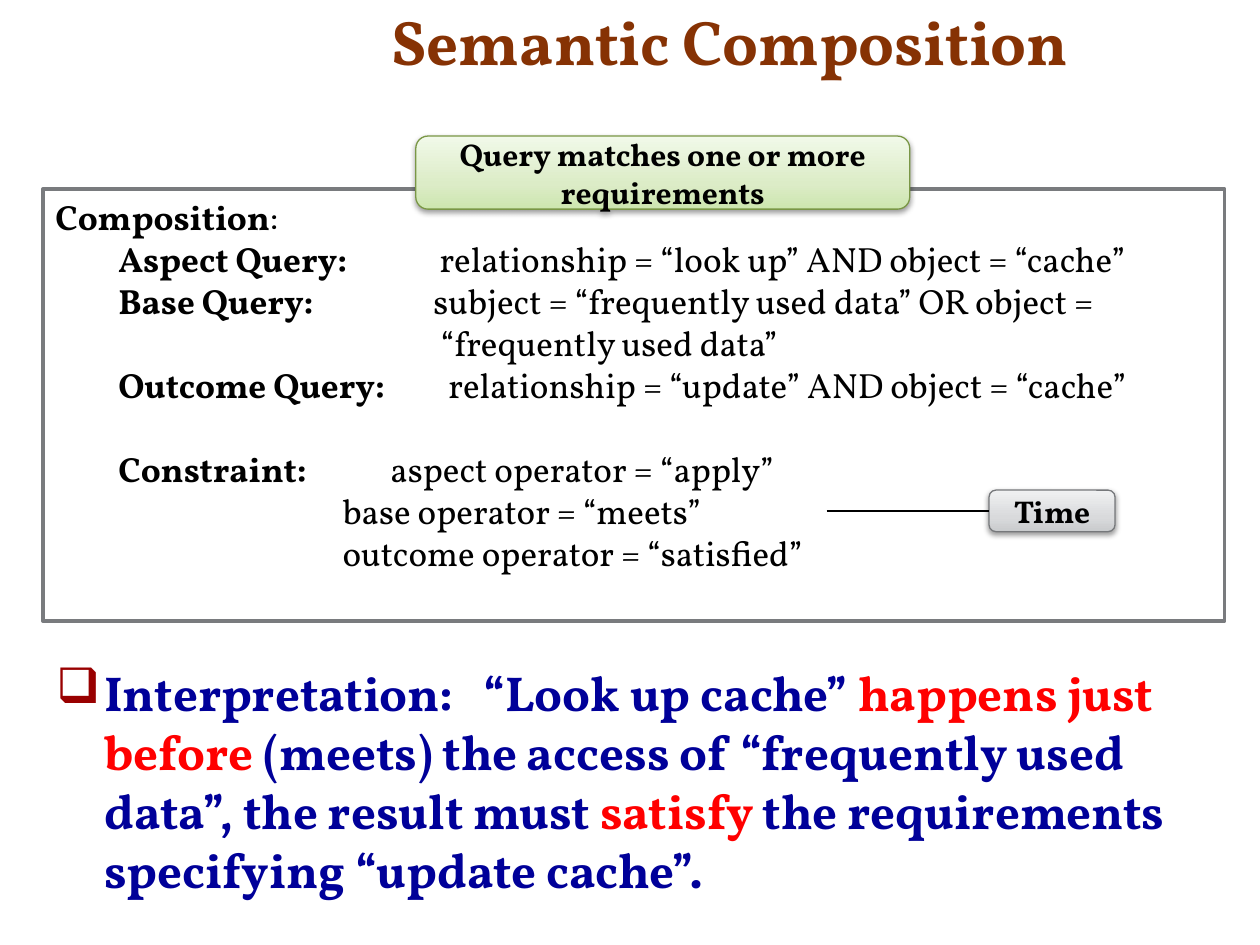
"""Build the Semantic Composition slide with its queries, callouts and interpretation."""
from lxml.etree import SubElement
from pptx import Presentation
from pptx.dml.color import RGBColor
from pptx.enum.shapes import MSO_CONNECTOR as Connector, MSO_SHAPE as Shape
from pptx.enum.text import MSO_ANCHOR as Anchor, PP_ALIGN as Align
from pptx.oxml import parse_xml
from pptx.oxml.ns import nsdecls, qn
from pptx.util import Inches, Pt

FONT = "Vollkorn"
WIDTH, HEIGHT = 10, 7.5
COLORS = {
    "title": "863204", "text": "000000", "body": "000099", "accent": "FF0000",
    "bullet": "990000", "panel": "FFFFFF", "border": "797B7E",
}
GREEN = {"stops": [(0, "CDE6AF"), (35, "DCECC7"), (100, "F1F9E9")], "line": "7A9746"}
GRAY = {"stops": [(0, "C9CBCD"), (35, "D9DADC"), (100, "F0F1F2")], "line": "76787B"}

TITLE = "Semantic Composition"
LABEL_TAB = 0.5
QUERIES = [
    ("Aspect Query:", 3.05, "relationship = “look up” AND object = “cache”", 0),
    ("Base Query:", 3, "subject = “frequently used data” OR object =", 0),
    ("", 3.06, "“frequently used data”", 0),
    ("Outcome Query:", 3.12, "relationship = “update” AND object = “cache”", 0),
    ("Constraint:", 2.66, "aspect operator = “apply”", 24),
    ("", 2.28, "base operator = “meets”", 0),
    ("", 2.28, "outcome operator = “satisfied”", 0),
]
INTERPRETATION = [
    ("Interpretation:\t“Look up cache” ", "body"),
    ("happens just before ", "accent"),
    ("(meets) the access of “frequently used data”, the result must ", "body"),
    ("satisfy ", "accent"),
    ("the requirements specifying “update cache”.", "body"),
]
INTERPRETATION_TAB = 3.39
TITLE_BOX = (3.01, -0.03, 6.84, 0.7)
PANEL_BOX = (0.34, 1.5, 9.38, 3.43)
BODY_BOX = (0.35, 5.21, 9.23, 1.87)
TIME_BOX = (7.85, 3.89, 1, 0.33)
MATCH_BOX = (3.3, 1.08, 3.92, 0.58)
POINTER_START = 6.56


def add_run(paragraph, text, size, color="text", bold=True):
    run = paragraph.add_run()
    run.text = text
    run.font.name, run.font.size, run.font.bold = FONT, Pt(size), bold
    run.font.color.rgb = RGBColor.from_string(COLORS[color])


def add_tabs(paragraph, stops):
    tabs = SubElement(paragraph._p.get_or_add_pPr(), qn("a:tabLst"))
    for stop in stops:
        SubElement(tabs, qn("a:tab"), pos=str(Inches(stop)), algn="l")


def add_text_frame(slide, box):
    frame = slide.shapes.add_textbox(*map(Inches, box)).text_frame
    frame.word_wrap = True
    return frame


def add_block(slide, kind, box, line, line_width):
    block = slide.shapes.add_shape(kind, *map(Inches, box))
    block.shadow.inherit = False
    block.line.color.rgb = RGBColor.from_string(line)
    block.line.width = Pt(line_width)
    block.text_frame.word_wrap = True
    return block


def add_callout(slide, box, text, style):
    callout = add_block(slide, Shape.ROUNDED_RECTANGLE, box, style["line"], 0.75)
    callout.fill.gradient()
    callout.fill.gradient_angle = 90
    stops = callout._element.spPr.find(".//" + qn("a:gsLst"))
    stops.clear()
    for position, color in style["stops"]:
        stop = SubElement(stops, qn("a:gs"), pos=str(position * 1000))
        SubElement(stop, qn("a:srgbClr"), val=color)
    callout._element.spPr.find(qn("a:effectLst")).append(parse_xml(
        f'<a:outerShdw {nsdecls("a")} blurRad="{Pt(3.1)}" dist="{Pt(1.6)}" dir="5400000" '
        'rotWithShape="0"><a:srgbClr val="000000"><a:alpha val="38000"/></a:srgbClr></a:outerShdw>'))
    callout.text_frame.vertical_anchor = Anchor.MIDDLE
    label = callout.text_frame.paragraphs[0]
    label.alignment = Align.CENTER
    add_run(label, text, 18)
    return callout


def add_title(slide):
    frame = add_text_frame(slide, TITLE_BOX)
    frame.vertical_anchor = Anchor.BOTTOM
    add_run(frame.paragraphs[0], TITLE, 36, "title")


def add_interpretation(slide):
    paragraph = add_text_frame(slide, BODY_BOX).paragraphs[0]
    props = paragraph._p.get_or_add_pPr()
    props.set("marL", str(Inches(0.38)))
    props.set("indent", str(-Inches(0.38)))
    SubElement(SubElement(props, qn("a:buClr")), qn("a:srgbClr"), val=COLORS["bullet"])
    SubElement(props, qn("a:buChar"), char="❑")
    add_tabs(paragraph, [INTERPRETATION_TAB])
    for text, color in INTERPRETATION:
        add_run(paragraph, text, 28, color)


def add_panel(slide):
    panel = add_block(slide, Shape.RECTANGLE, PANEL_BOX, COLORS["border"], 2)
    panel.fill.solid()
    panel.fill.fore_color.rgb = RGBColor.from_string(COLORS["panel"])
    frame = panel.text_frame
    frame.vertical_anchor = Anchor.TOP
    heading = frame.paragraphs[0]
    heading.alignment = Align.LEFT
    add_run(heading, "Composition", 20)
    add_run(heading, ":", 20, bold=False)
    for label, value_tab, value, space in QUERIES:
        row = frame.add_paragraph()
        row.alignment = Align.LEFT
        row.space_before = Pt(space)
        add_tabs(row, [LABEL_TAB, value_tab] if label else [value_tab])
        if label:
            add_run(row, f"\t{label}", 20)
        add_run(row, f"\t{value}", 20, bold=False)


def add_pointer(slide, target):
    middle = target.top + target.height // 2
    pointer = slide.shapes.add_connector(
        Connector.STRAIGHT, Inches(POINTER_START), middle, target.left, middle)
    pointer.end_connect(target, 1)
    pointer.line.color.rgb = RGBColor.from_string(COLORS["text"])
    pointer.line.width = Pt(0.75)
    SubElement(pointer._element.spPr, qn("a:effectLst"))


def main():
    deck = Presentation()
    deck.slide_width, deck.slide_height = Inches(WIDTH), Inches(HEIGHT)
    slide = deck.slides.add_slide(deck.slide_layouts[6])
    add_title(slide)
    add_interpretation(slide)
    add_panel(slide)
    time = add_callout(slide, TIME_BOX, "Time", GRAY)
    add_callout(slide, MATCH_BOX, "Query matches one or more requirements", GREEN)
    add_pointer(slide, time)
    deck.save("out.pptx")


if __name__ == "__main__":
    main()
